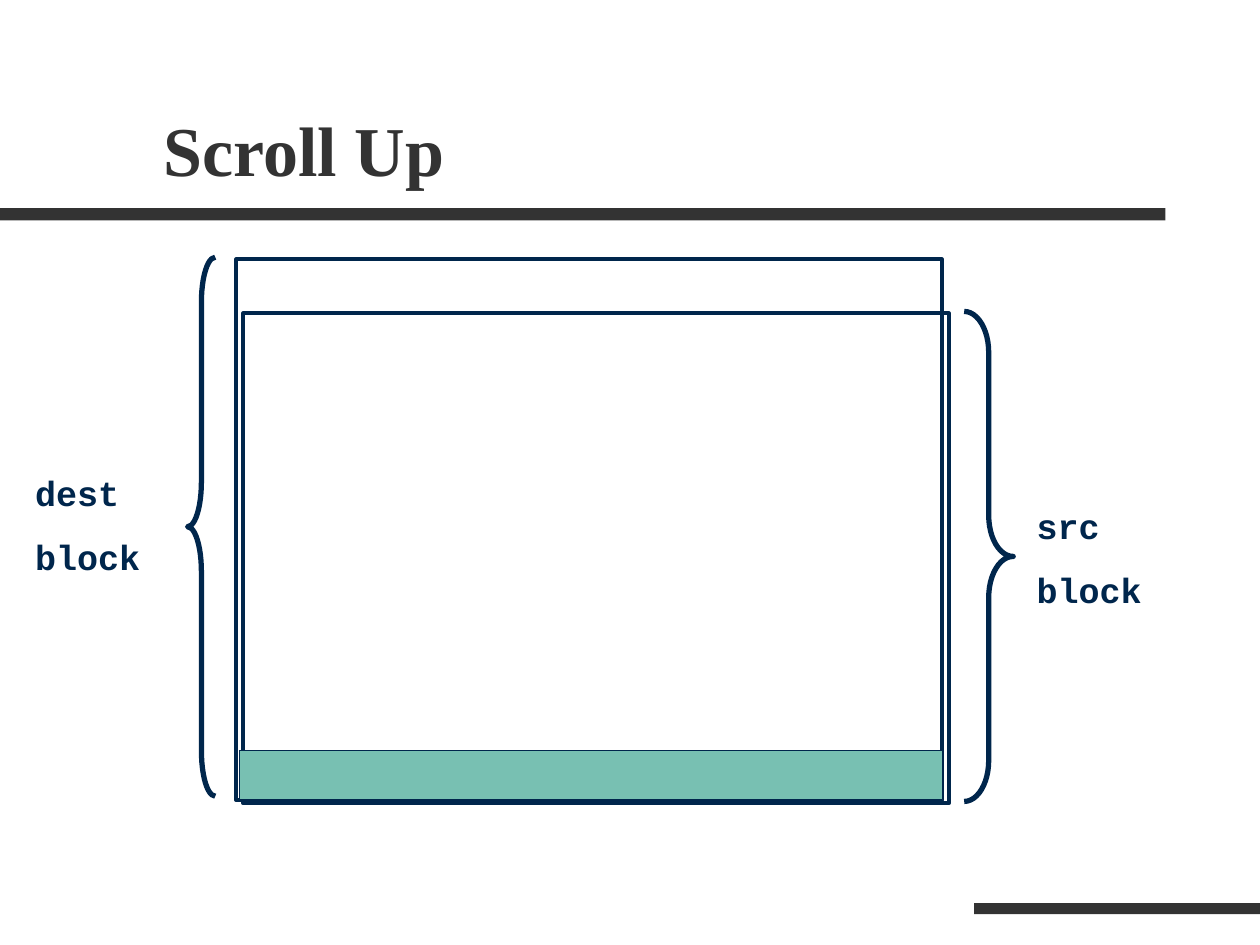
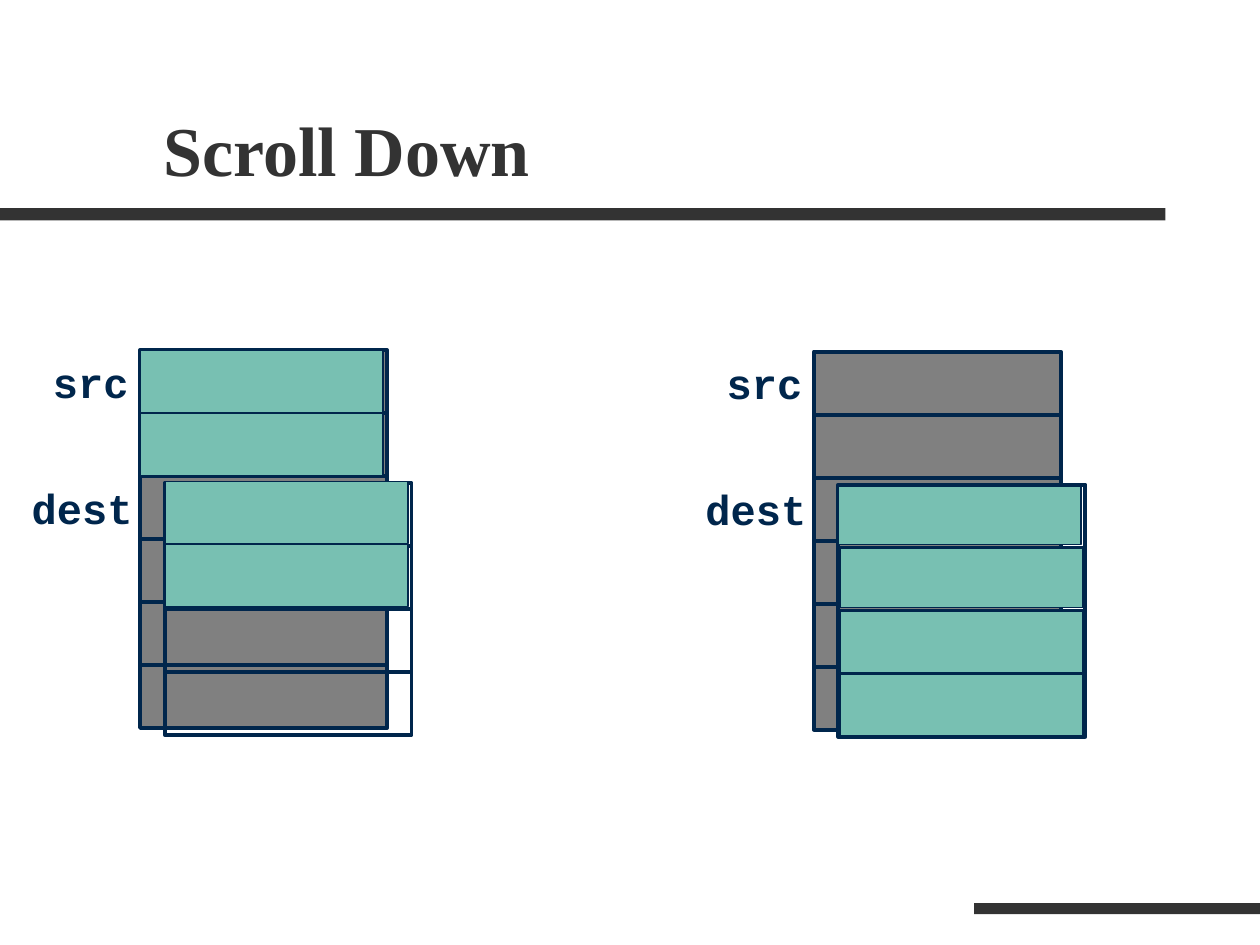
from pptx import Presentation
from pptx.dml.color import RGBColor
from pptx.enum.shapes import MSO_SHAPE
from pptx.enum.text import MSO_ANCHOR, PP_ALIGN
from pptx.util import Pt

NAVY = RGBColor(0x00, 0x26, 0x4C)
CHARCOAL = RGBColor(0x33, 0x33, 0x33)
GRAY = RGBColor(0x80, 0x80, 0x80)
TEAL = RGBColor(0x78, 0xC0, 0xB2)

THICK, THIN = 2.25, 0.75
CELL_W, CELL_H = 141.1, 36
TEAL_W = 138.8


class Deck:
    title_font = "Times New Roman"
    label_font = "Courier New"

    def __init__(self):
        self.prs = Presentation()
        self.prs.slide_width, self.prs.slide_height = Pt(720), Pt(540)
        self.s = None

    def slide(self, title):
        self.s = self.prs.slides.add_slide(self.prs.slide_layouts[5])
        self.shape(0, 118.9, 666, 7, CHARCOAL, None)
        self.shape(556.6, 516.1, 163.4, 6.3, CHARCOAL, None)
        sp = self.s.shapes.title
        sp.left, sp.top, sp.width, sp.height = Pt(86.4), Pt(22.3), Pt(612), Pt(90)
        tf = sp.text_frame
        tf.text = title
        tf.vertical_anchor = MSO_ANCHOR.BOTTOM
        self.style(tf.paragraphs[0], self.title_font, 40, CHARCOAL)

    def style(self, p, font, size, color):
        p.alignment = PP_ALIGN.LEFT
        p.font.name, p.font.size, p.font.bold = font, Pt(size), True
        p.font.color.rgb = color

    def shape(self, x, y, w, h, fill=None, line=THICK, kind=MSO_SHAPE.RECTANGLE):
        sp = self.s.shapes.add_shape(kind, Pt(x), Pt(y), Pt(w), Pt(h))
        sp.shadow.inherit = False
        if fill is None:
            sp.fill.background()
        else:
            sp.fill.solid()
            sp.fill.fore_color.rgb = fill
        if line is None:
            sp.line.fill.background()
        else:
            sp.line.color.rgb = NAVY
            sp.line.width = Pt(line)
        return sp

    def brace(self, kind, x, y, w, h, curve):
        sp = self.shape(x, y, w, h, line=3, kind=kind)
        sp.adjustments[0] = curve / w

    def label(self, x, y, w, h, lines, size):
        tf = self.s.shapes.add_textbox(Pt(x), Pt(y), Pt(w), Pt(h)).text_frame
        tf.word_wrap = False
        for i, line in enumerate(lines):
            p = tf.add_paragraph() if i else tf.paragraphs[0]
            p.text = line
            if i:
                p.space_before = Pt(12.5)
            self.style(p, self.label_font, size, NAVY)

    def stack(self, x, y, heights, w=CELL_W, fill=None, line=THICK):
        for row, h in enumerate(heights):
            self.shape(x, y + row * CELL_H, w, h, fill, line)

    def memory(self, x, y):
        self.stack(x, y, [CELL_H] * 6, fill=GRAY)
        self.stack(x + 14, y + 76, [CELL_H] * 4)
        self.label(x - 56.9, y, 59, 36, ["src"], 24)
        self.label(x - 69.1, y + 2 * CELL_H, 72.7, 36, ["dest"], 24)


def scroll_up(deck):
    deck.slide("Scroll Up")
    deck.shape(139, 179.1, 403.2, 280)
    deck.shape(135, 148.2, 403.2, 309)
    deck.brace(MSO_SHAPE.LEFT_BRACE, 107.2, 147, 15.8, 308, 25.7)
    deck.brace(MSO_SHAPE.RIGHT_BRACE, 551, 178, 28, 280, 23.4)
    deck.label(13, 265.7, 82, 67.7, ["dest", "block"], 20)
    deck.label(585.2, 285, 82, 67.7, ["src", "block"], 20)
    deck.shape(136.8, 429, 402, 28, TEAL, THIN)


def scroll_down(deck):
    deck.slide("Scroll Down")
    deck.memory(465.1, 201)
    deck.stack(479, 277.7, [33.3], TEAL_W, TEAL, THIN)
    deck.stack(480, 313.2, [34, 35.3, 35.3], TEAL_W, TEAL, THIN)
    deck.memory(80.1, 200)
    for x, y in ((94.3, 275.2), (80.1, 200.4)):
        deck.stack(x, y, [35.3] * 2, TEAL_W, TEAL, THIN)


def main():
    deck = Deck()
    scroll_up(deck)
    scroll_down(deck)
    deck.prs.save("out.pptx")


if __name__ == "__main__":
    main()
